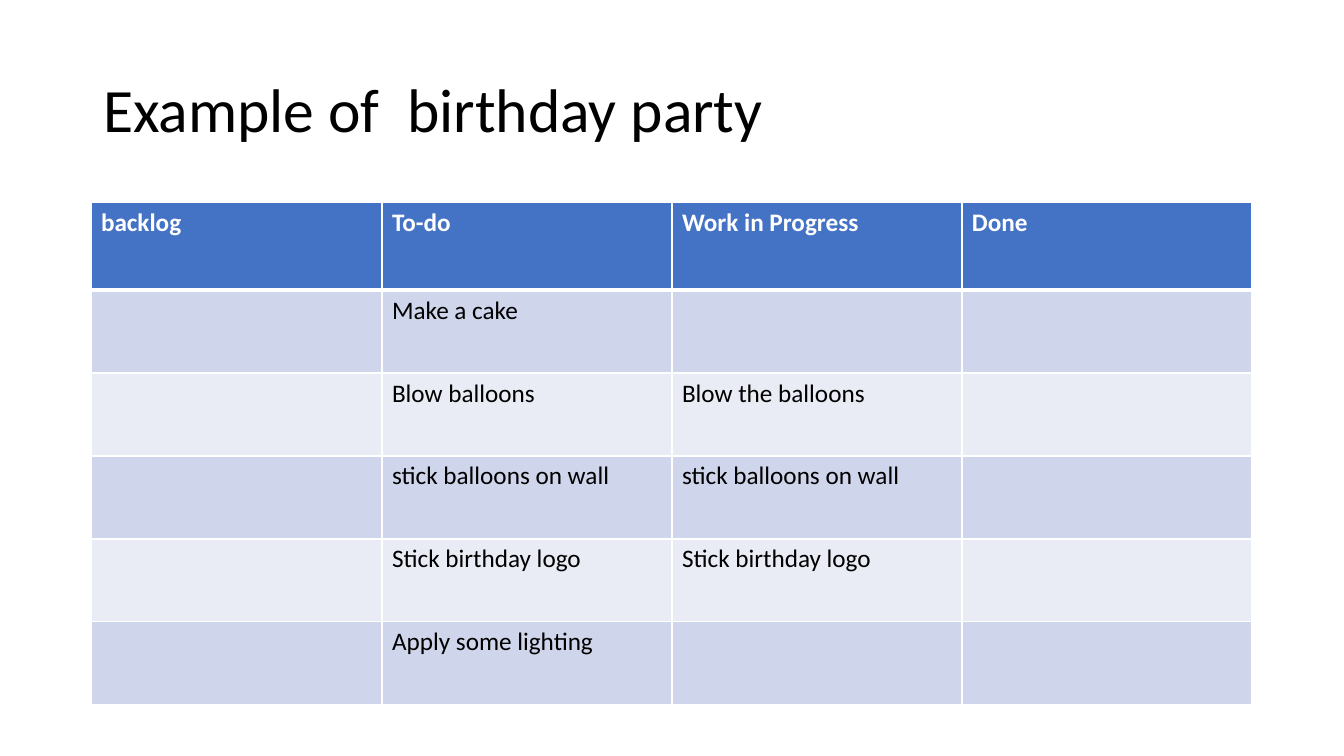
from lxml.etree import SubElement
from pptx import Presentation
from pptx.dml.color import RGBColor
from pptx.enum.text import MSO_ANCHOR as Anchor, MSO_AUTO_SIZE as AutoSize, PP_ALIGN as Align
from pptx.oxml.ns import qn
from pptx.util import Emu, Pt

PIXEL = 914400 / 100.8
FONT = "Calibri"
BLACK = RGBColor(0x00, 0x00, 0x00)
WHITE = RGBColor(0xFF, 0xFF, 0xFF)
HEADER_BLUE = RGBColor(0x44, 0x72, 0xC4)
BAND_DARK = RGBColor(0xCF, 0xD5, 0xEA)
BAND_LIGHT = RGBColor(0xE9, 0xEB, 0xF5)

TITLE_BOX = (93, 40, 1159, 146)
BOARD_BOX = (91, 202, 1161, 503)
HEADER_HEIGHT = 88
BOARD = [
    ("backlog", "To-do", "Work in Progress", "Done"),
    ("", "Make a cake", "", ""),
    ("", "Blow balloons", "Blow the balloons", ""),
    ("", "stick balloons on wall", "stick balloons on wall", ""),
    ("", "Stick birthday logo", "Stick birthday logo", ""),
    ("", "Apply some lighting", "", ""),
]


def px(length):
    """Turn pixels into EMU."""
    return Emu(round(length * PIXEL))


def style_font(font, size, color, bold=False):
    """Set the face, size, colour and weight of a font."""
    font.name, font.size, font.bold = FONT, Pt(size), bold
    font.color.rgb = color


def add_title(page, box, text):
    """Place and format the title placeholder."""
    title = page.shapes.title
    title.left, title.top, title.width, title.height = map(px, box)
    frame = title.text_frame
    frame.text = text
    frame.auto_size = AutoSize.NONE
    frame.vertical_anchor = Anchor.MIDDLE
    para = frame.paragraphs[0]
    para.alignment = Align.LEFT
    para.line_spacing = 0.9
    style_font(para.font, 44, BLACK)


def add_borders(cell, widths):
    """Draw white borders, given in points by side, around a cell."""
    properties = cell._tc.get_or_add_tcPr()
    for position, (side, width) in enumerate(widths.items()):
        line = SubElement(properties, qn(f"a:ln{side}"), w=str(Pt(width)))
        fill = SubElement(line, qn("a:solidFill"))
        SubElement(fill, qn("a:srgbClr"), val=str(WHITE))
        properties.insert(position, line)


def fill_cell(cell, text, row):
    """Write and format one cell according to its row."""
    header = row == 0
    cell.text = text
    style_font(cell.text_frame.paragraphs[0].font, 18, WHITE if header else BLACK, header)
    cell.fill.solid()
    band = BAND_DARK if row % 2 else BAND_LIGHT
    cell.fill.fore_color.rgb = HEADER_BLUE if header else band
    add_borders(cell, {"L": 1, "R": 1, "T": 3 if row == 1 else 1, "B": 3 if header else 1})


def add_board(page, box, rows):
    """Build the task board with a header row and equal body rows."""
    left, top, width, height = box
    count = len(rows[0])
    table = page.shapes.add_table(len(rows), count, *map(px, box)).table
    edges = [left + -(-width * index // count) for index in range(count + 1)]
    for column, start, end in zip(table.columns, edges, edges[1:]):
        column.width = px(end - start)
    body_height = (height - HEADER_HEIGHT) // (len(rows) - 1)
    for index, texts in enumerate(rows):
        table.rows[index].height = px(body_height if index else HEADER_HEIGHT)
        for column, text in enumerate(texts):
            fill_cell(table.cell(index, column), text, index)


def main():
    """Build and save the deck."""
    deck = Presentation()
    deck.slide_width, deck.slide_height = px(1344), px(756)
    page = deck.slides.add_slide(deck.slide_layouts[5])
    add_title(page, TITLE_BOX, "Example of  birthday party")
    add_board(page, BOARD_BOX, BOARD)
    deck.save("out.pptx")


main()
